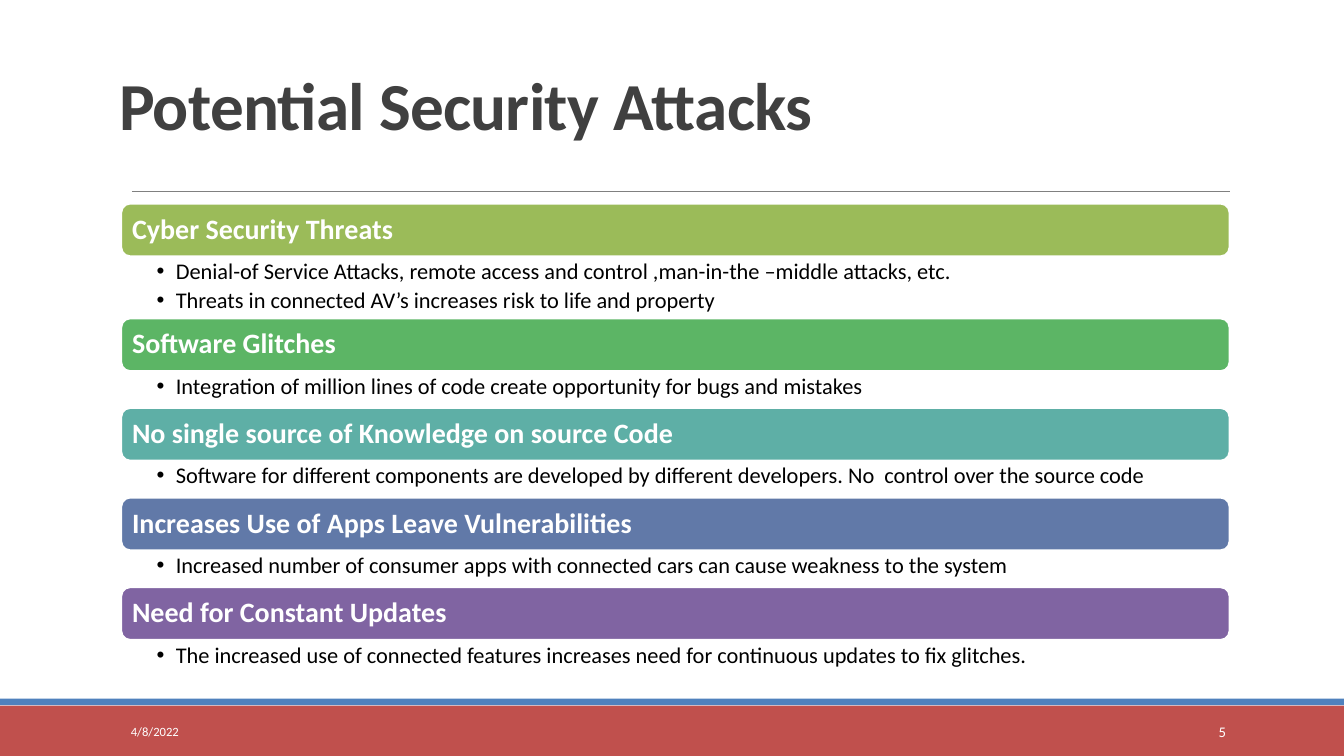
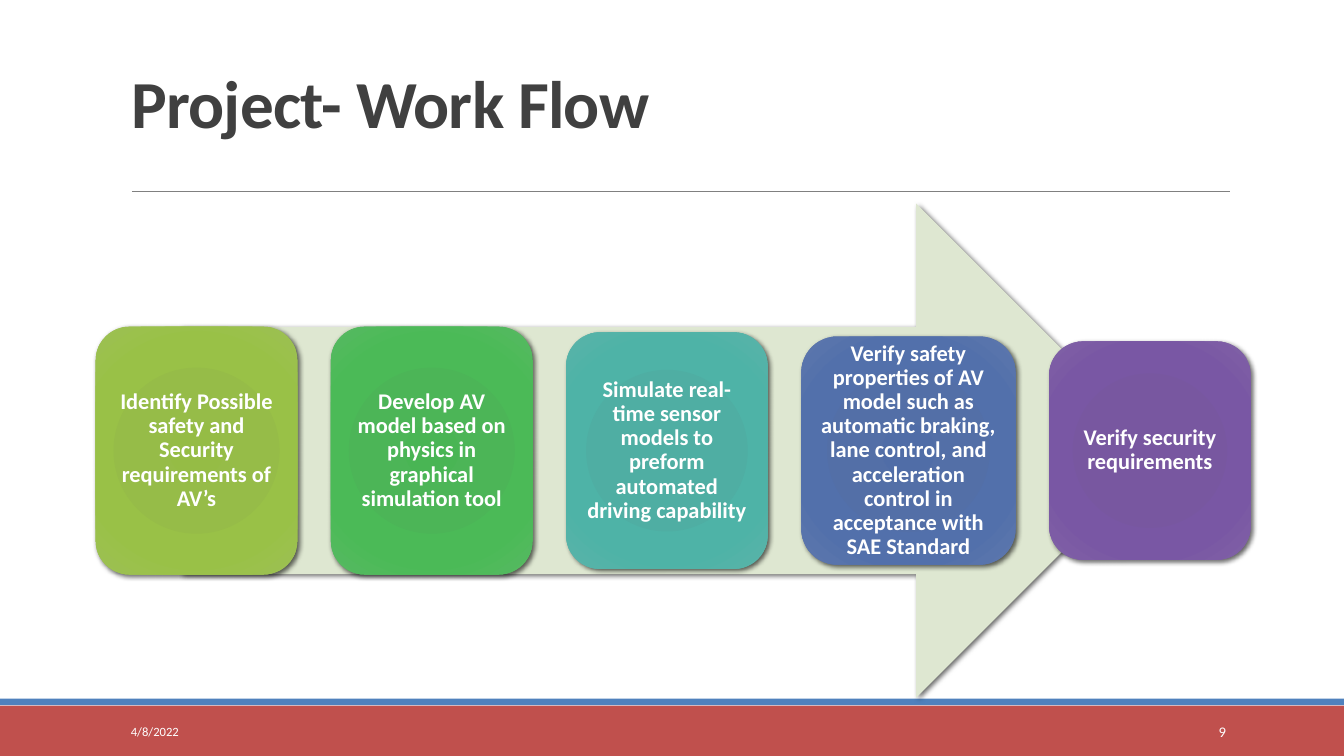
from dataclasses import dataclass

from lxml import etree
from pptx import Presentation
from pptx.dml.color import RGBColor
from pptx.enum.shapes import MSO_CONNECTOR as Connector
from pptx.enum.shapes import MSO_SHAPE as Preset
from pptx.enum.shapes import PP_PLACEHOLDER as Holder
from pptx.enum.text import MSO_ANCHOR as Anchor
from pptx.enum.text import MSO_AUTO_SIZE as AutoSize
from pptx.enum.text import PP_ALIGN as Align
from pptx.oxml import parse_xml
from pptx.oxml.ns import nsdecls, qn
from pptx.util import Pt


@dataclass(frozen=True)
class Theme:
    """Colours, font and type sizes of the deck."""

    font: str = "Calibri"
    title: str = "404040"
    body: str = "000000"
    light: str = "FFFFFF"
    band: str = "C0504D"
    stripe: str = "4F81BD"
    rule: str = "808080"
    arrow: str = "DEE7D1"
    bars: tuple = ("9BBB59", "5CB565", "5EAFA6", "6179A8", "8064A2")
    cards: tuple = (
        ("95BC45", "96BC48", "99C147", "9DC054"),
        ("49B554", "4CB557", "4BBA57", "57B962"),
        ("4DAEA3", "4FAEA3", "4EB3A7", "5AB3A9"),
        ("506DA7", "536FA7", "5270AB", "5D77AC"),
        ("7655A0", "7857A0", "7957A4", "8061A5"),
    )
    stops: tuple = (0, 34, 70, 100)
    title_size: float = 48
    heading_size: float = 20
    text_size: float = 16
    number_size: float = 10.5
    date_size: float = 9


THEME = Theme()
DATE = "4/8/2022"

THREATS = (
    ("Cyber Security Threats", (
        "Denial-of Service Attacks, remote access and control ,man-in-the –middle attacks, etc.",
        "Threats in connected AV’s increases risk to life and property")),
    ("Software Glitches", (
        "Integration of million lines of code create opportunity for bugs and mistakes",)),
    ("No single source of Knowledge on source Code", (
        "Software for different components are developed by different developers. "
        "No  control over the source code",)),
    ("Increases Use of Apps Leave Vulnerabilities", (
        "Increased number of consumer apps with connected cars can cause weakness to the system",)),
    ("Need for Constant Updates", (
        "The increased use of connected features increases need for continuous updates "
        "to fix glitches.",)),
)

STEPS = (
    ("Identify Possible safety and Security requirements of AV’s", 144, 177),
    ("Develop AV model based on physics in graphical simulation tool", 144, 177),
    ("Simulate real-time sensor models to preform automated driving capability", 144, 169),
    ("Verify safety properties of AV model such as automatic braking, lane control, "
     "and acceleration control in acceptance with SAE Standard", 153, 163),
    ("Verify security requirements", 144, 156),
)


def points(*values):
    """Turn numbers into lengths in points."""
    return [Pt(value) for value in values]


def assign(target, values):
    """Set every attribute named in a dict."""
    for name, value in values.items():
        setattr(target, name, value)


def place(shape, box):
    """Move a shape to a box of left, top, width and height."""
    assign(shape, dict(zip(("left", "top", "width", "height"), points(*box))))


def write(shape, texts, size, color, bold=False, anchor=Anchor.MIDDLE,
          insets=(7.2, 3.6, 7.2, 3.6), **para_format):
    """Fill a shape with one paragraph for each text."""
    frame = shape.text_frame
    frame.text = "\n".join(texts)
    sides = ("margin_left", "margin_top", "margin_right", "margin_bottom")
    assign(frame, {"word_wrap": True, "auto_size": AutoSize.NONE,
                   "vertical_anchor": anchor, **dict(zip(sides, points(*insets)))})
    for para in frame.paragraphs:
        assign(para, {"alignment": Align.LEFT, **para_format})
        for span in para.runs:
            assign(span.font, {"name": THEME.font, "size": Pt(size), "bold": bold})
            span.font.color.rgb = RGBColor.from_string(color)


def add_label(page, box, texts, size, color, **text_format):
    """Add a text box."""
    label = page.shapes.add_textbox(*points(*box))
    write(label, texts, size, color, **text_format)
    return label


def add_block(page, preset, box, color):
    """Add a filled preset shape without outline or shadow."""
    block = page.shapes.add_shape(preset, *points(*box))
    block.shadow.inherit = False
    block.fill.solid()
    block.fill.fore_color.rgb = RGBColor.from_string(color)
    block.line.fill.background()
    return block


def add_bullets(label, indent):
    """Give every paragraph of a label a hanging bullet."""
    for para in label.element.iter(qn("a:p")):
        properties = para.get_or_add_pPr()
        properties.set("marL", str(Pt(indent)))
        properties.set("indent", str(-Pt(indent)))
        etree.SubElement(properties, qn("a:buFont")).set("typeface", "Arial")
        etree.SubElement(properties, qn("a:buChar")).set("char", "•")


def cast_shadow(shape, blur):
    """Add a soft shadow to the lower right."""
    effects = shape.element.spPr.find(qn("a:effectLst"))
    effects.append(parse_xml(
        f'<a:outerShdw {nsdecls("a")} blurRad="{Pt(blur)}" dist="{Pt(2)}" dir="2700000" '
        'algn="ctr" rotWithShape="0"><a:srgbClr val="000000"><a:alpha val="60000"/>'
        '</a:srgbClr></a:outerShdw>'))


def fill_radial(shape, colors):
    """Replace a solid fill with a circular gradient."""
    stops = "".join(
        f'<a:gs pos="{stop * 1000}"><a:srgbClr val="{color}"/></a:gs>'
        for stop, color in zip(THEME.stops, colors))
    properties = shape.element.spPr
    properties.replace(properties.find(qn("a:solidFill")), parse_xml(
        f'<a:gradFill {nsdecls("a")} rotWithShape="1"><a:gsLst>{stops}</a:gsLst>'
        '<a:path path="circle"><a:fillToRect l="100000" t="100000" r="100000" b="100000"/>'
        '</a:path></a:gradFill>'))


def dress_layout(layout, page):
    """Put the bands and the title rule on the layout, drawing them through a page."""
    for holder in list(layout.placeholders):
        if holder.placeholder_format.type == Holder.TITLE:
            place(holder, (86.4, 20, 792, 85))
        else:
            holder.element.getparent().remove(holder.element)
    band = add_block(page, Preset.RECTANGLE, (0, 504, 960, 36), THEME.band)
    stripe = add_block(page, Preset.RECTANGLE, (0, 499, 960, 4.7), THEME.stripe)
    rule = page.shapes.add_connector(Connector.STRAIGHT, *points(94.3, 136.8, 878.8, 136.8))
    rule.line.width = Pt(0.5)
    rule.line.color.rgb = RGBColor.from_string(THEME.rule)
    etree.SubElement(rule.element.spPr, qn("a:effectLst"))
    for position, shape in enumerate((band, stripe, rule), start=2):
        layout.shapes.element.insert(position, shape.element)


def add_title(page, text, box):
    """Place and format the title."""
    title = page.shapes.title
    place(title, box)
    write(title, [text], THEME.title_size, THEME.title, bold=True,
          anchor=Anchor.BOTTOM, line_spacing=0.85)
    for properties in title.element.iter(qn("a:rPr")):
        properties.set("spc", "-50")


def add_footer(page, number):
    """Write the date and the page number on the band."""
    add_label(page, (86.4, 508.3, 194.4, 28.8), [DATE], THEME.date_size, THEME.light)
    add_label(page, (779.8, 508.3, 103, 28.8), [number], THEME.number_size, THEME.light,
              alignment=Align.RIGHT)


def add_threats(page, box, threats):
    """Stack a coloured bar and its bullets for each threat."""
    left, top, width = box
    bar_height, line_height, extra_line = 37.5, 26.5, 18
    for (heading, notes), color in zip(threats, THEME.bars):
        bar = add_block(page, Preset.ROUNDED_RECTANGLE, (left, top, width, bar_height), color)
        bar.line.width = Pt(1.25)
        bar.line.color.rgb = RGBColor.from_string(THEME.light)
        write(bar, [heading], THEME.heading_size, THEME.light, bold=True,
              insets=(5.8,) * 4, line_spacing=0.9)
        top += bar_height
        height = line_height + extra_line * (len(notes) - 1)
        label = add_label(page, (left, top + 0.8, width, height), notes, THEME.text_size,
                          THEME.body, anchor=Anchor.TOP, insets=(25.2, 2, 11.5, 2),
                          line_spacing=0.9, space_after=Pt(3.2))
        add_bullets(label, 13.7)
        top += height


def add_workflow(page, box, steps):
    """Lay a row of step cards over a wide arrow."""
    left, top, width, height = box
    gap, overhang = 24, 61.2
    arrow = add_block(page, Preset.RIGHT_ARROW, box, THEME.arrow)
    cast_shadow(arrow, 3)
    card_left, middle = left - overhang, top + height / 2
    for (text, card_width, card_height), colors in zip(steps, THEME.cards):
        card_box = (card_left, middle - card_height / 2, card_width, card_height)
        card = add_block(page, Preset.ROUNDED_RECTANGLE, card_box, colors[0])
        fill_radial(card, colors)
        cast_shadow(card, 3.5)
        write(card, [text], THEME.text_size, THEME.light, bold=True,
              insets=(4.8,) * 4, alignment=Align.CENTER, line_spacing=0.9)
        card_left += card_width + gap


def main():
    """Build and save the deck."""
    deck = Presentation()
    assign(deck, {"slide_width": Pt(960), "slide_height": Pt(540)})
    layout = deck.slide_layouts.get_by_name("Title Only")

    attacks = deck.slides.add_slide(layout)
    dress_layout(layout, attacks)
    add_title(attacks, "Potential Security Attacks", (77.8, 20.2, 792, 86.4))
    add_threats(attacks, (86.7, 145.5, 791.5), THREATS)
    add_footer(attacks, "5")

    workflow = deck.slides.add_slide(layout)
    add_title(workflow, "Project- Work Flow", (86.4, 22.3, 792, 82.8))
    add_workflow(workflow, (129.6, 145.5, 701.3, 352.8), STEPS)
    add_footer(workflow, "9")

    deck.save("out.pptx")


if __name__ == "__main__":
    main()
